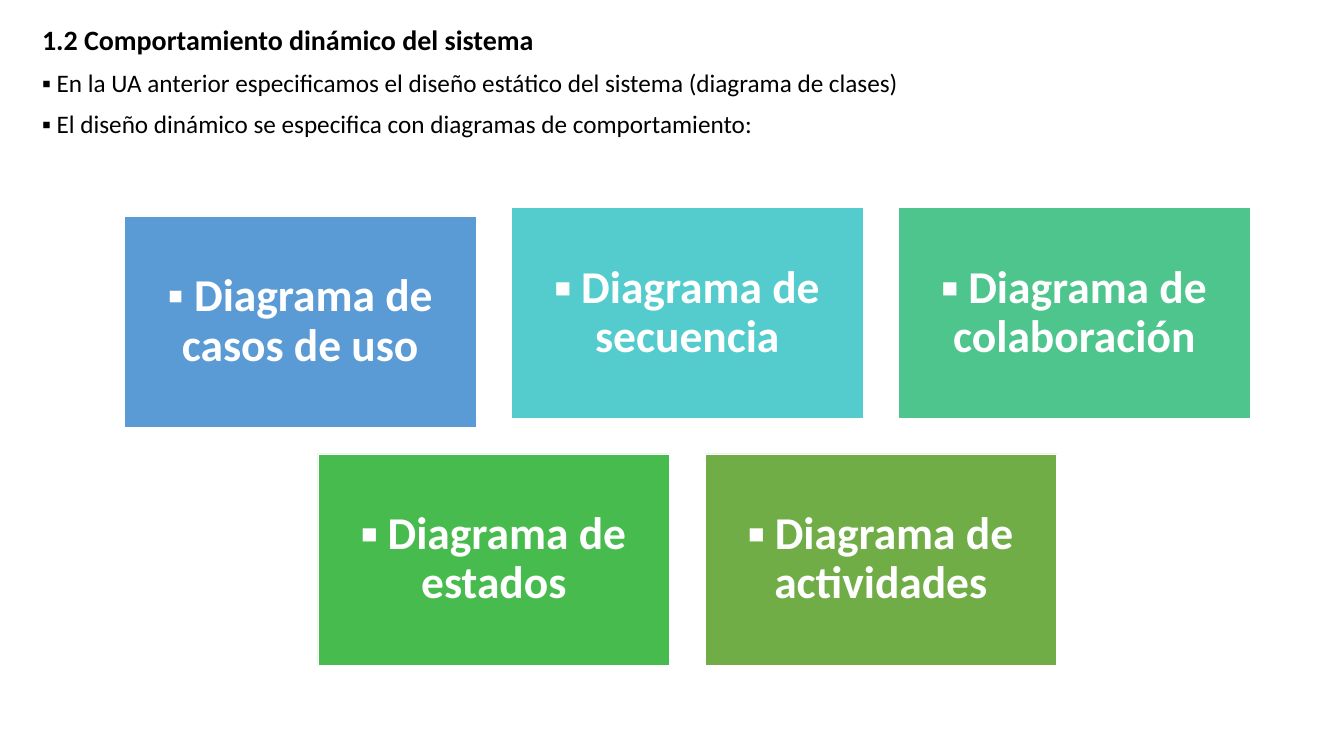
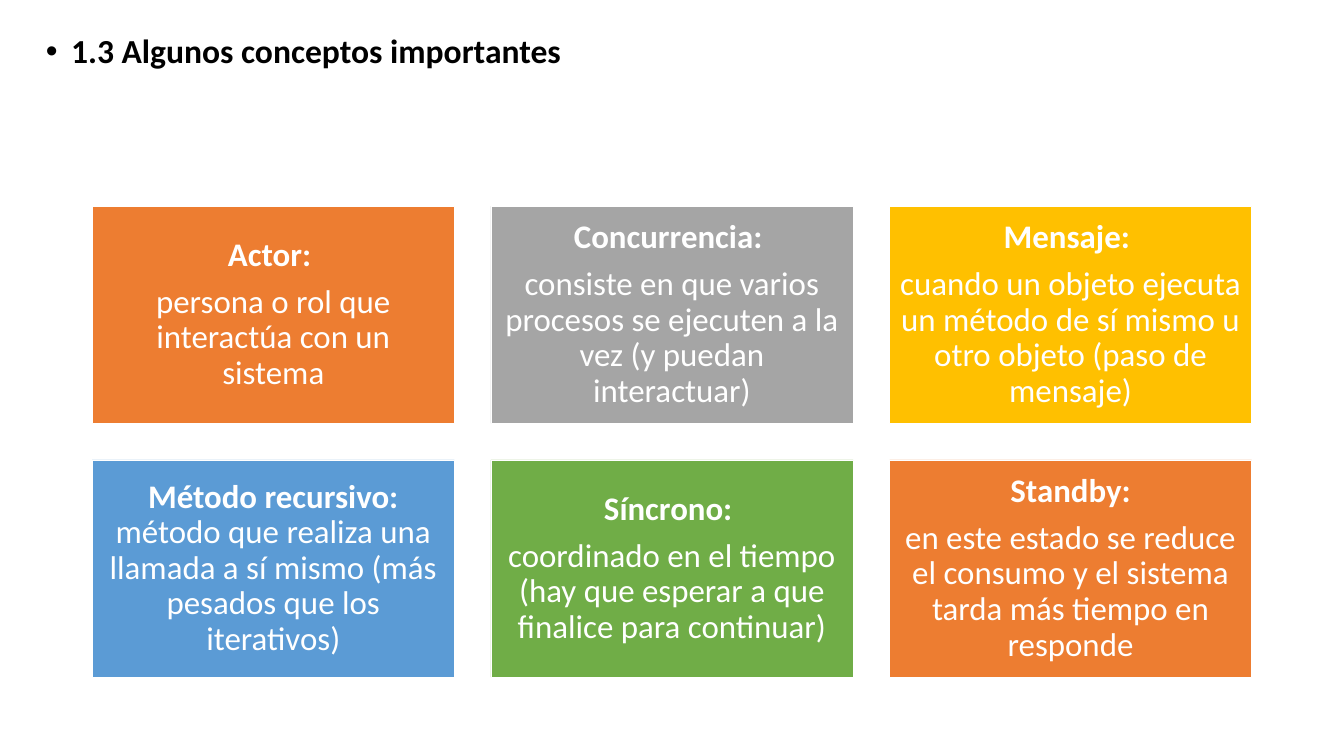
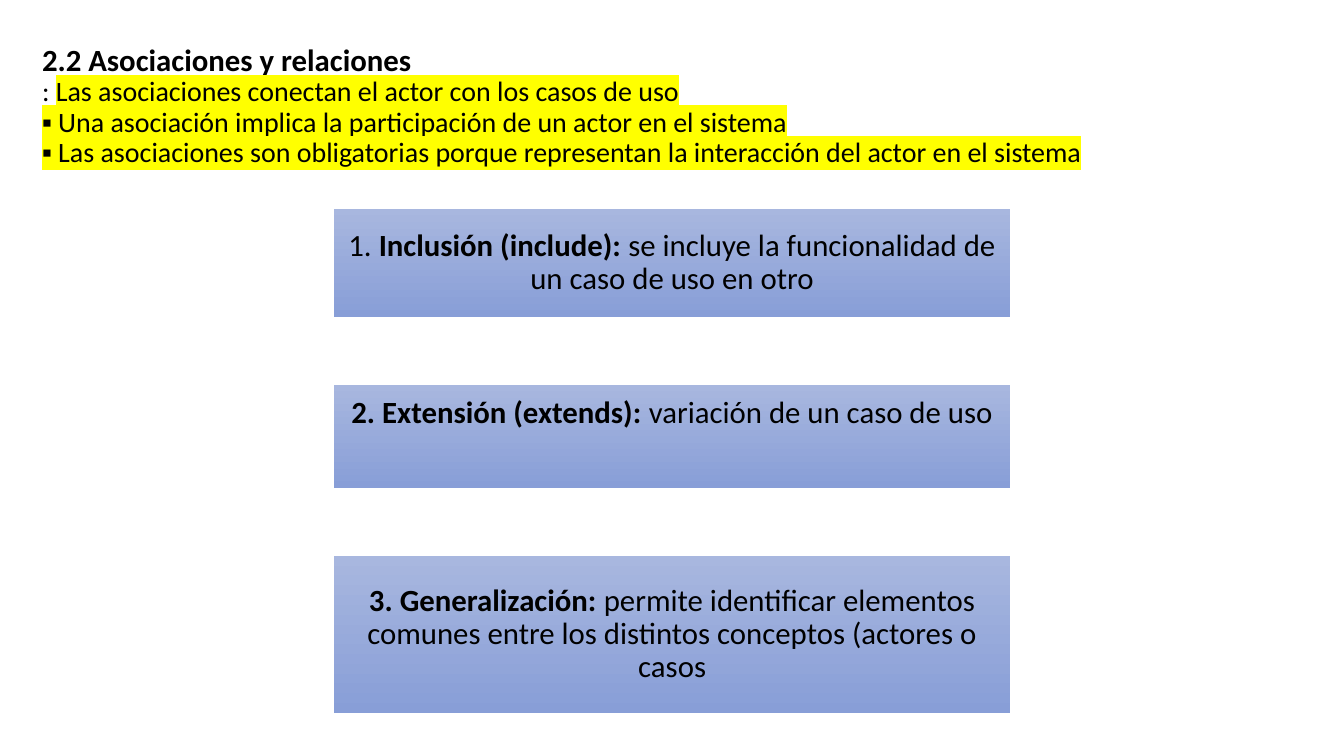
from dataclasses import dataclass

from lxml import etree
from pptx import Presentation
from pptx import util as u
from pptx.dml.color import RGBColor
from pptx.enum import shapes, text
from pptx.oxml import ns


@dataclass(frozen=True)
class Theme:
    font: str = "Calibri"
    black: str = "000000"
    white: str = "FFFFFF"
    marker: str = "FFFF00"
    blue: str = "5B9BD5"
    turquoise: str = "54CCCD"
    mint: str = "4DC58D"
    green: str = "48BB4F"
    olive: str = "70AD47"
    orange: str = "ED7D31"
    grey: str = "A5A5A5"
    amber: str = "FFC000"
    gradient: tuple = ("A8B7DF", "889ED7")
    diagram_size: float = 65
    concept_size: float = 47
    relation_size: float = 44
    leading: float = 0.9


THEME = Theme()
PAGE_WIDTH, PAGE_HEIGHT = 1920, 1080

BEHAVIOUR_HEADING = [
    [("1.2 Comportamiento dinámico del sistema", 40, True, None)],
    [("▪ En la UA anterior especificamos el diseño estático del sistema (diagrama de clases)", 36, False, None)],
    [("▪ El diseño dinámico se especifica con diagramas de comportamiento:", 36, False, None)],
]
DIAGRAM_ROWS = [
    [
        ([[("▪ ", False), ("Diagrama de casos de uso", True)]], THEME.blue),
        ([[("▪ Diagrama de secuencia", True)]], THEME.turquoise),
        ([[("▪ Diagrama de colaboración", True)]], THEME.mint),
    ],
    [
        ([[("▪ Diagrama de estados", True)]], THEME.green),
        ([[("▪ Diagrama de actividades", True)]], THEME.olive),
    ],
]

CONCEPTS_HEADING = [[("1.3 Algunos conceptos importantes", 48, True, None)]]
CONCEPT_ROWS = [
    [
        ([[("Actor: ", True)], [("persona o rol que interactúa con un sistema", False)]], THEME.orange),
        ([[("Concurrencia: ", True)],
          [("consiste en que varios procesos se ejecuten a la vez (y puedan interactuar)", False)]], THEME.grey),
        ([[("Mensaje: ", True)],
          [("cuando un objeto ejecuta un método de sí mismo u otro objeto (paso de mensaje)", False)]], THEME.amber),
    ],
    [
        ([[("Método recursivo: ", True),
           ("método que realiza una llamada a sí mismo (más pesados que los iterativos)", False)]], THEME.blue),
        ([[("Síncrono: ", True)],
          [("coordinado en el tiempo (hay que esperar a que finalice para continuar)", False)]], THEME.olive),
        ([[("Standby:", True)],
          [("en este estado se reduce el consumo y el sistema tarda más tiempo en responde", False)]], THEME.orange),
    ],
]

RELATIONS_HEADING = [
    [("2.2 Asociaciones y relaciones", 44, True, None)],
    [(": ", 40, False, None),
     ("Las asociaciones conectan el actor con los casos de uso", 40, False, THEME.marker)],
    [("▪ Una asociación implica la participación de un actor en el sistema", 40, False, THEME.marker)],
    [("▪ Las asociaciones son obligatorias porque representan la interacción del actor en el sistema",
      40, False, THEME.marker)],
]
MIDDLE, TOP = text.MSO_ANCHOR.MIDDLE, text.MSO_ANCHOR.TOP
RELATIONS = [
    ([[("1. ", False), ("Inclusión (include): ", True),
       ("se incluye la funcionalidad de un caso de uso en otro", False)]], 155, MIDDLE, 13),
    ([[("2. Extensión (extends): ", True), ("variación de un caso de uso", False)]], 147, TOP, 17.5),
    ([[("3. Generalización: ", True),
       ("permite identificar elementos comunes entre los distintos conceptos (actores o casos", False)]],
     224.5, MIDDLE, 13),
]


def add_span(para, words, size, bold, color, marker=None):
    span = para.add_run()
    span.text = words
    span.font.size = u.Pt(size)
    span.font.bold = bold
    span.font.name = THEME.font
    span.font.color.rgb = RGBColor.from_string(color)
    if marker:
        highlight = etree.Element(ns.qn("a:highlight"))
        etree.SubElement(highlight, ns.qn("a:srgbClr"), val=marker)
        span.font._element.find(ns.qn("a:solidFill")).addnext(highlight)


def prepare_frame(shape, inset, anchor=MIDDLE):
    frame = shape.text_frame
    frame.word_wrap = True
    frame.auto_size = text.MSO_AUTO_SIZE.NONE
    frame.vertical_anchor = anchor
    frame.margin_left = frame.margin_top = frame.margin_right = frame.margin_bottom = u.Pt(inset)
    return frame


def add_paragraphs(frame, count, align, before=0, after=0):
    for index in range(count):
        para = frame.add_paragraph() if index else frame.paragraphs[0]
        para.alignment = align
        para.line_spacing = THEME.leading
        para.space_before = u.Pt(before if index else 0)
        para.space_after = u.Pt(after if index < count - 1 else 0)
    return frame.paragraphs


def add_page(deck, heading, bounds, before=0, bulleted=False):
    page = deck.slides.add_slide(deck.slide_layouts[5])
    title = page.shapes.title
    title.left, title.top, title.width, title.height = map(u.Pt, bounds)
    paras = add_paragraphs(prepare_frame(title, 0), len(heading), text.PP_ALIGN.LEFT, before)
    for para, spans in zip(paras, heading):
        if bulleted:
            properties = para._p.get_or_add_pPr()
            properties.set("marL", str(u.Pt(36)))
            properties.set("indent", str(-u.Pt(36)))
            etree.SubElement(properties, ns.qn("a:buFont"), typeface="Arial")
            etree.SubElement(properties, ns.qn("a:buChar"), char="•")
        for words, size, bold, marker in spans:
            add_span(para, words, size, bold, THEME.black, marker)
    return page


def add_box(page, bounds, content, size, color, inset, anchor=MIDDLE):
    box = page.shapes.add_shape(shapes.MSO_SHAPE.RECTANGLE, *map(u.Pt, bounds))
    box.shadow.inherit = False
    frame = prepare_frame(box, inset, anchor)
    paras = add_paragraphs(frame, len(content), text.PP_ALIGN.CENTER, after=round(size * 0.35, 1))
    for para, spans in zip(paras, content):
        for words, bold in spans:
            add_span(para, words, size, bold, color)
    return box


def add_cards(page, rows, center, top, width, height, gap_x, gap_y, size, inset):
    cards = []
    for row_index, row in enumerate(rows):
        left = center - (len(row) * (width + gap_x) - gap_x) / 2
        for column, (content, color) in enumerate(row):
            bounds = (left + column * (width + gap_x), top + row_index * (height + gap_y), width, height)
            card = add_box(page, bounds, content, size, THEME.white, inset)
            card.fill.solid()
            card.fill.fore_color.rgb = RGBColor.from_string(color)
            card.line.color.rgb = RGBColor.from_string(THEME.white)
            card.line.width = u.Pt(1)
            cards.append(card)
    return cards


def add_relations(page, left, top, width, gap):
    for content, height, anchor, inset in RELATIONS:
        box = add_box(page, (left, top, width, height), content, THEME.relation_size, THEME.black, inset, anchor)
        box.fill.gradient()
        box.fill.gradient_angle = 270
        for stop, color in zip(box.fill.gradient_stops, THEME.gradient):
            stop.color.rgb = RGBColor.from_string(color)
        box.line.fill.background()
        top += height + gap


def main():
    deck = Presentation()
    deck.slide_width, deck.slide_height = u.Pt(PAGE_WIDTH), u.Pt(PAGE_HEIGHT)

    behaviour = add_page(deck, BEHAVIOUR_HEADING, (60, 28, 1728, 180), before=20)
    diagrams = add_cards(behaviour, DIAGRAM_ROWS, 982, 296.5, 502.5, 301.5, 50.5, 50.5, THEME.diagram_size, 19.5)
    diagrams[0].top += u.Pt(12.5)

    concepts = add_page(deck, CONCEPTS_HEADING, (65.5, 22.5, 1728, 106.5), bulleted=True)
    add_cards(concepts, CONCEPT_ROWS, 960, 294.5, 517.5, 310.5, 52, 52, THEME.concept_size, 14.5)

    relations = add_page(deck, RELATIONS_HEADING, (60, 60, 1698.5, 184))
    add_relations(relations, 477.5, 298, 965.5, 97)

    deck.save("out.pptx")


if __name__ == "__main__":
    main()
